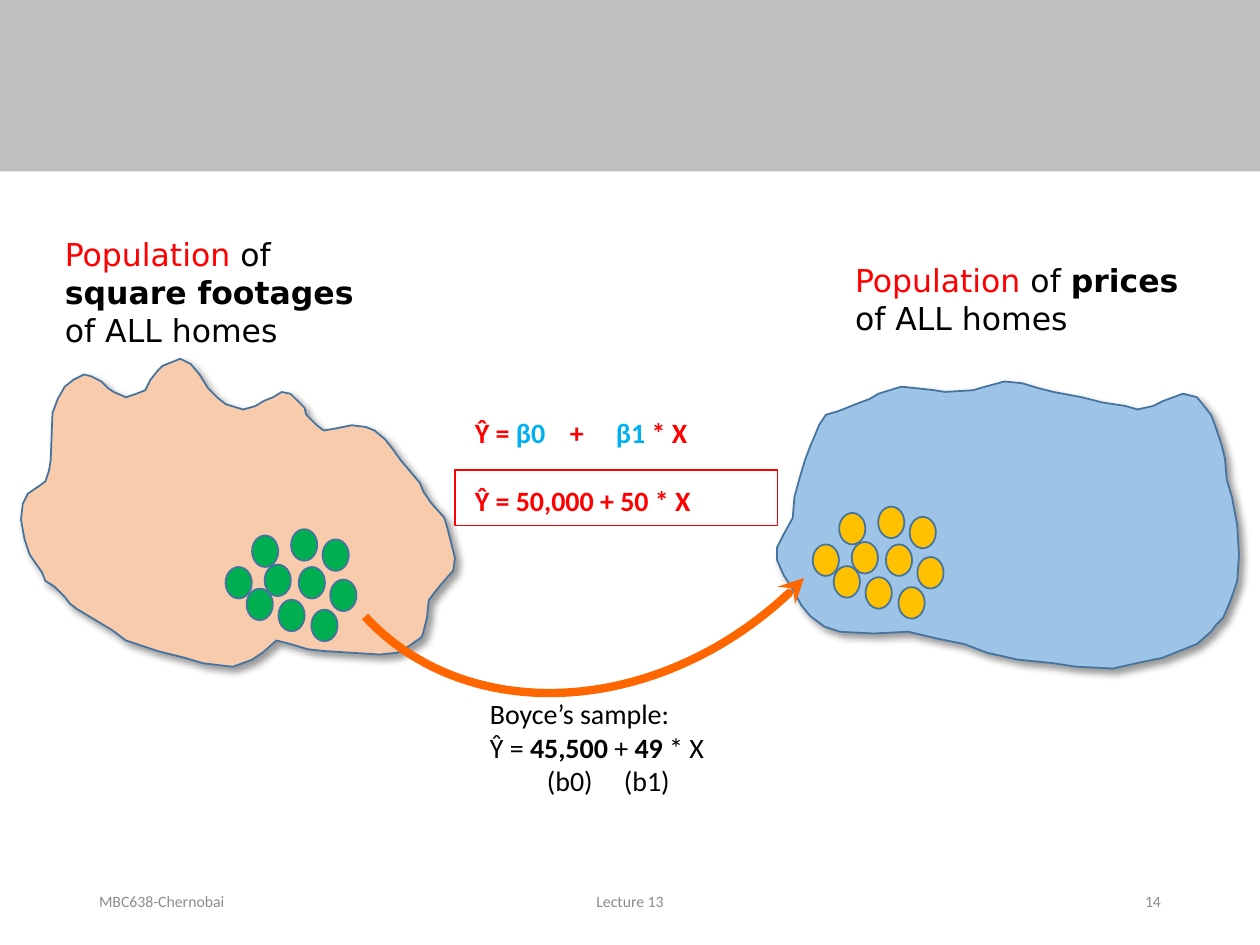
from lxml.etree import SubElement
from pptx import Presentation
from pptx.dml.color import RGBColor
from pptx.enum.shapes import MSO_SHAPE as Preset
from pptx.enum.text import MSO_ANCHOR as Anchor, MSO_AUTO_SIZE as AutoSize, PP_ALIGN as Align
from pptx.oxml.ns import qn
from pptx.util import Pt

OUTLINE = "43739E"
RED, BLUE, BLACK, ORANGE = "FF0000", "00B0F0", "000000", "FF6600"

FOOTAGE_OUTLINE = [
    (25, 136), (19, 130), (14, 127), (12, 122), (5, 112), (2, 103), (0, 92), (1, 83), (4, 77),
    (10, 73), (14, 70), (16, 64), (17, 58), (18, 31), (21, 23), (25, 16), (30, 12), (36, 9),
    (40, 10), (46, 13), (50, 17), (53, 19), (60, 22), (66, 20), (71, 18), (74, 12), (78, 7),
    (81, 4), (91, 0), (97, 3), (102, 9), (107, 17), (112, 22), (117, 26), (127, 29), (134, 27),
    (139, 24), (144, 22), (149, 19), (154, 20), (159, 25), (162, 28), (163, 32), (169, 38),
    (173, 41), (179, 40), (189, 38), (197, 39), (202, 41), (208, 46), (212, 51), (217, 58),
    (228, 71), (230, 76), (234, 82), (242, 91), (244, 98), (248, 114), (247, 121), (240, 129),
    (236, 134), (233, 138), (232, 148), (230, 156), (229, 159), (222, 164), (215, 168),
    (205, 169), (173, 167), (164, 166), (154, 163), (146, 161), (138, 168), (132, 172),
    (121, 176), (104, 174), (94, 171), (78, 167), (60, 161), (52, 155), (42, 149), (32, 143),
    (28, 140),
]
PRICE_OUTLINE = [
    (9, 78), (10, 66), (13, 55), (16, 45), (19, 37), (22, 30), (24, 25), (28, 19), (35, 17),
    (45, 13), (53, 10), (58, 7), (71, 3), (81, 4), (90, 5), (96, 6), (112, 5), (119, 3), (130, 0),
    (140, 1), (150, 4), (158, 6), (174, 9), (186, 12), (199, 14), (206, 16), (215, 14), (221, 11),
    (232, 7), (240, 9), (244, 14), (248, 19), (251, 27), (254, 36), (256, 44), (257, 56),
    (260, 66), (263, 82), (264, 99), (263, 114), (260, 123), (258, 128), (255, 135), (251, 139),
    (248, 143), (240, 150), (230, 154), (220, 158), (210, 160), (192, 164), (171, 163),
    (158, 161), (138, 159), (120, 155), (107, 150), (92, 147), (75, 143), (55, 144), (36, 143),
    (27, 140), (19, 134), (14, 128), (8, 117), (4, 111), (0, 102), (0, 95), (4, 87),
]
SAMPLE_DOTS = [(0, 21.6), (12, 34), (22.3, 20.2), (30.2, 40.3), (37.4, 0),
               (41.8, 21.6), (49, 46), (55.4, 5.8), (59.8, 28.8), (15.1, 3.6)]


def color(value):
    """Turn a hex string into a colour."""
    return RGBColor.from_string(value)


def paint(shape, fill=None, line=None, width=1):
    """Set fill and line, and take away the shadow."""
    shape.shadow.inherit = False
    if fill:
        shape.fill.solid()
        shape.fill.fore_color.rgb = color(fill)
    else:
        shape.fill.background()
    if line:
        shape.line.color.rgb = color(line)
        shape.line.width = Pt(width)
    else:
        shape.line.fill.background()


def add_preset(slide, preset, box, **style):
    """Add a painted preset shape in a box of points."""
    shape = slide.shapes.add_shape(preset, *map(Pt, box))
    paint(shape, **style)
    return shape


def add_text(slide, box, lines, size, font="Calibri", bold=None, align=Align.LEFT,
             anchor=Anchor.TOP, gap=0, tabs=()):
    """Add a text box whose lines are lists of (text, colour, bold) runs."""
    shape = slide.shapes.add_textbox(*map(Pt, box))
    frame = shape.text_frame
    frame.word_wrap = True
    frame.vertical_anchor = anchor
    frame.auto_size = AutoSize.SHAPE_TO_FIT_TEXT if anchor == Anchor.TOP else AutoSize.NONE
    for index, runs in enumerate(lines):
        paragraph = frame.add_paragraph() if index else frame.paragraphs[0]
        paragraph.alignment = align
        paragraph.space_before = Pt(gap if index else 0)
        if tabs:
            stops = SubElement(paragraph._p.get_or_add_pPr(), qn("a:tabLst"))
            for position in tabs:
                SubElement(stops, qn("a:tab"), pos=str(Pt(position)), algn="l")
        paragraph.font.name = font
        paragraph.font.size = Pt(size)
        paragraph.font.bold = bold
        for text, run_color, *run_bold in runs:
            run = paragraph.add_run()
            run.text = text
            run.font.color.rgb = color(run_color)
            if run_bold:
                run.font.bold = run_bold[0]


def add_population(slide, left, top, outline, fill):
    """Draw a shadowed population cloud from its outline."""
    points = [(left + x, top + y) for x, y in outline]
    builder = slide.shapes.build_freeform(*points[0], scale=Pt(1))
    builder.add_line_segments(points[1:], close=True)
    shape = builder.convert_to_shape()
    paint(shape, fill, OUTLINE)
    effects = shape._element.spPr.find(qn("a:effectLst"))
    shadow = SubElement(effects, qn("a:outerShdw"), blurRad=str(Pt(4)), dist=str(Pt(3)),
                        dir="2700000", algn="tl", rotWithShape="0")
    shade = SubElement(shadow, qn("a:srgbClr"), val=BLACK)
    SubElement(shade, qn("a:alpha"), val="40000")


def add_sample(slide, left, top, fill):
    """Scatter the sampled homes from a top left corner."""
    for x, y in SAMPLE_DOTS:
        add_preset(slide, Preset.OVAL, (left + x, top + y, 15, 18), fill=fill, line=OUTLINE)


def add_caption(slide, box, subject):
    """Name the population above its cloud."""
    runs = [("Population", RED), (" of ", BLACK), (subject + " ", BLACK, True),
            ("of ALL homes", BLACK)]
    add_text(slide, box, [runs], 18, "DejaVu Sans")


def add_model(slide, left, top):
    """Write the population regression line and frame its values."""
    add_text(slide, (left + 4.3, top, 196.6, 65.5), [
        [("Ŷ = ", RED), ("β0", BLUE), ("\t+\t", RED), ("β1 ", BLUE), ("* X", RED)],
        [("Ŷ = 50,000 + 50 * X", RED)],
    ], 16, bold=True, gap=19.5, tabs=(54.3, 80.6))
    add_preset(slide, Preset.RECTANGLE, (left, top + 34.6, 184.3, 31.7), line=RED)


def add_sample_model(slide, left, top):
    """Write the regression line estimated from the sample."""
    add_text(slide, (left, top, 228.2, 65.5), [
        [("Boyce’s sample:", BLACK)],
        [("Ŷ = ", BLACK), ("45,500", BLACK, True), (" + ", BLACK), ("49", BLACK, True),
         (" * X", BLACK)],
        [("\t(b0)\t(b1)", BLACK)],
    ], 16, tabs=(32.6, 76.6))


def add_arrow(slide, box):
    """Sweep a curved arrow from one sample to the other."""
    arc = add_preset(slide, Preset.ARC, box, line=ORANGE, width=4.75)
    arc.adjustments[0] = 162
    arc.adjustments[1] = 3.177
    arc.rotation = 47.3
    arc._element.spPr.xfrm.set("flipV", "1")
    SubElement(arc.line._get_or_add_ln(), qn("a:tailEnd"), type="stealth")


def add_footer(slide, top):
    """Place course, lecture and slide number along the bottom."""
    for left, width, text, align in ((49.5, 162, "MBC638-Chernobai", Align.LEFT),
                                     (238.5, 243, "Lecture 13", Align.CENTER),
                                     (508.5, 162, "14", Align.RIGHT)):
        add_text(slide, (left, top, width, 28.75), [[(text, "8C8C8C")]], 9,
                 align=align, anchor=Anchor.MIDDLE)


def main():
    """Build and save the slide."""
    presentation = Presentation()
    presentation.slide_width, presentation.slide_height = Pt(720), Pt(540)
    slide = presentation.slides.add_slide(presentation.slide_layouts[6])
    add_preset(slide, Preset.RECTANGLE, (0, 0, 720, 98), fill="BFBFBF")
    add_population(slide, 12.24, 205.2, FOOTAGE_OUTLINE, "F8CBAD")
    add_population(slide, 444.24, 218.16, PRICE_OUTLINE, "9DC3E6")
    add_caption(slide, (30, 131, 198, 72.7), "square footages")
    add_caption(slide, (481.5, 145.5, 214.5, 51), "prices")
    add_model(slide, 260, 234)
    add_sample(slide, 128.9, 302.4, "00B050")
    add_sample(slide, 464.4, 289.5, "FFC000")
    add_arrow(slide, (190, 41.8, 309, 370))
    add_sample_model(slide, 272.9, 394.6)
    add_footer(slide, 500.5)
    presentation.save("out.pptx")


if __name__ == "__main__":
    main()
